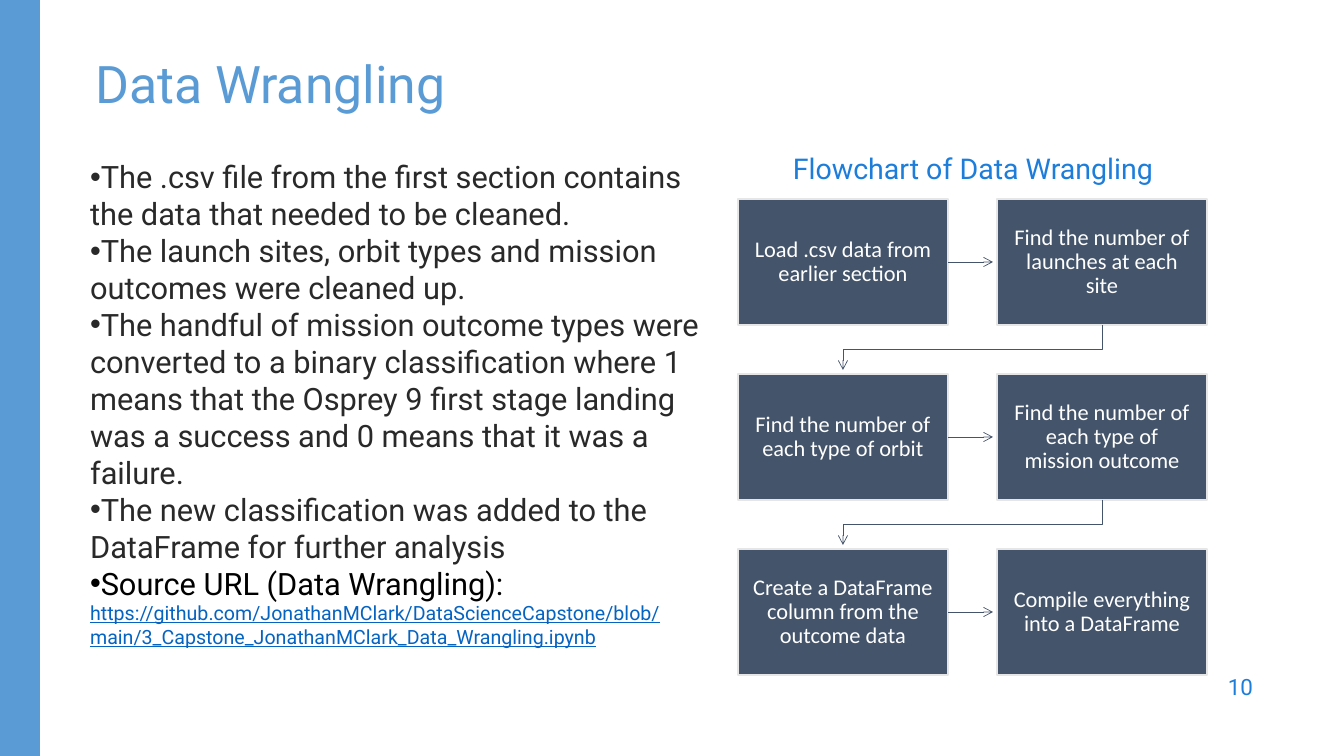
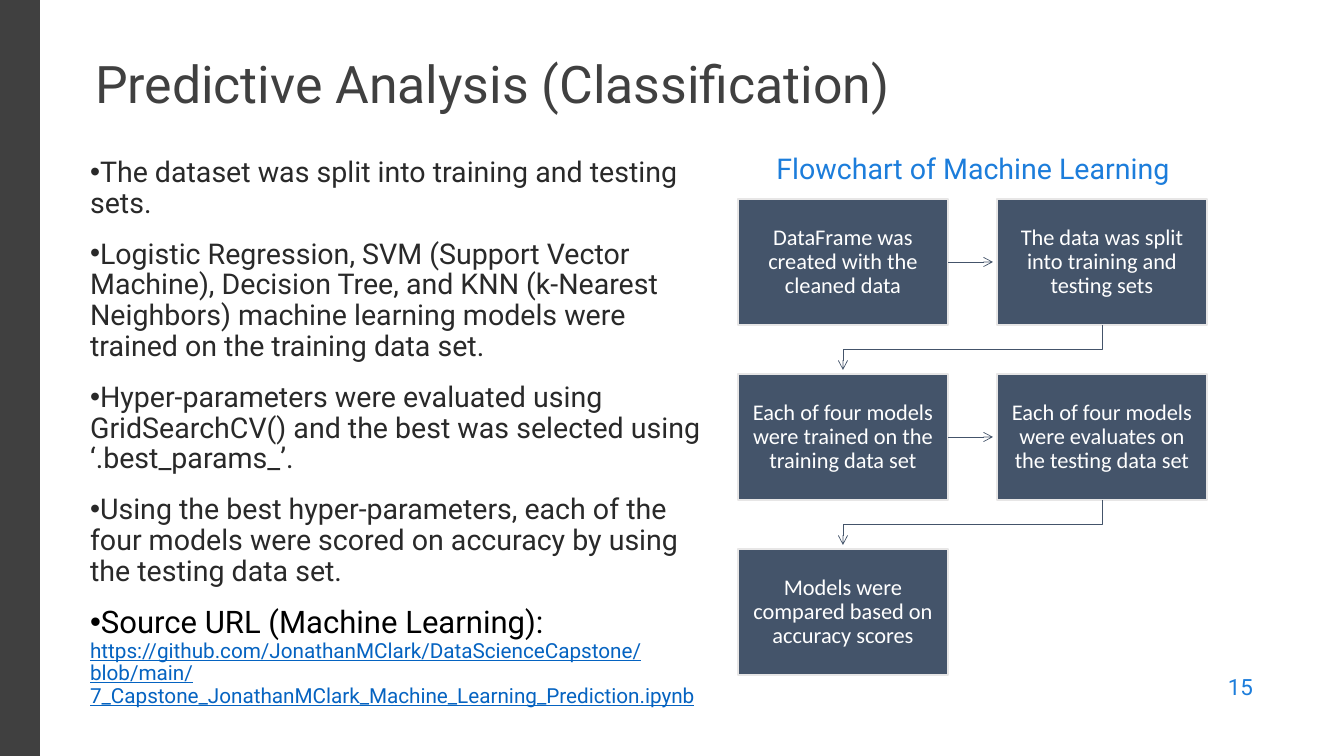
"""Build two data science slides, each with a bullet list and a flowchart."""
from lxml import etree
from pptx import Presentation
from pptx import util as u
from pptx.dml.color import RGBColor
from pptx.enum import shapes, text
from pptx.oxml.ns import qn

PX = 12192000 / 1344
COLORS = {
    "blue": "5B9BD5", "charcoal": "404040", "accent": "1C7DDB", "body": "292929",
    "black": "000000", "link": "0563C1", "card": "44546A", "edge": "E7E6E6", "white": "FFFFFF",
}
CARD_LEFT, CARD_TOP, CARD_WIDTH, CARD_HEIGHT = 738, 199, 210, 126
STEP_X, STEP_Y = 259, 175
ARROW_LENGTH = 45

SLIDES = [
    {
        "title": "Data Wrangling", "color": "blue", "number": "10",
        "bullets": [
            "The .csv file from the first section contains the data that needed to be cleaned.",
            "The launch sites, orbit types and mission outcomes were cleaned up.",
            "The handful of mission outcome types were converted to a binary classification where 1 "
            "means that the Osprey 9 first stage landing was a success and 0 means that it was a failure.",
            "The new classification was added to the DataFrame for further analysis",
        ],
        "label": "Source URL (Data Wrangling):",
        "link": "https://github.com/JonathanMClark/DataScienceCapstone/blob/main/"
                "3_Capstone_JonathanMClark_Data_Wrangling.ipynb",
        "sizes": (22, 22, 14), "spacing": 1.0, "gap": 0,
        "heading": "Flowchart of Data Wrangling",
        "steps": [
            "Load .csv data from earlier section",
            "Find the number of launches at each site",
            "Find the number of each type of orbit",
            "Find the number of each type of mission outcome",
            "Create a DataFrame column from the outcome data",
            "Compile everything into a DataFrame",
        ],
    },
    {
        "title": "Predictive Analysis (Classification)", "color": "charcoal", "number": "15",
        "bullets": [
            "The dataset was split into training and testing sets.",
            "Logistic Regression, SVM (Support Vector Machine), Decision Tree, and KNN (k-Nearest "
            "Neighbors) machine learning models were trained on the training data set.",
            "Hyper-parameters were evaluated using GridSearchCV() and the best was selected using "
            "‘.best_params_’.",
            "Using the best hyper-parameters, each of the four models were scored on accuracy by "
            "using the testing data set.",
        ],
        "label": "Source URL (Machine Learning):",
        "link": "https://github.com/JonathanMClark/DataScienceCapstone/blob/main/"
                "7_Capstone_JonathanMClark_Machine_Learning_Prediction.ipynb",
        "sizes": (20.4, 22.2, 14.8), "spacing": 0.9, "gap": 14,
        "heading": "Flowchart of Machine Learning",
        "steps": [
            "DataFrame was created with the cleaned data",
            "The data was split into training and testing sets",
            "Each of four models were trained on the training data set",
            "Each of four models were evaluates on the testing data set",
            "Models were compared based on accuracy scores",
        ],
    },
]


def px(*lengths):
    """Turn pixel lengths into a list of EMU lengths."""
    return [u.Emu(round(length * PX)) for length in lengths]


def rgb(name):
    """Look up a named colour."""
    return RGBColor.from_string(COLORS[name])


def place(shape, *bounds):
    """Move and size a shape, in pixels."""
    shape.left, shape.top, shape.width, shape.height = px(*bounds)


def style(para, size, color, font="Roboto", align=text.PP_ALIGN.LEFT, spacing=1.0, before=0):
    """Set the layout and font of one paragraph."""
    para.alignment, para.line_spacing, para.space_before = align, spacing, u.Pt(before)
    para.font.name, para.font.size = font, u.Pt(size)
    para.font.color.rgb = rgb(color)


def write(shape, words, anchor=text.MSO_ANCHOR.MIDDLE, **look):
    """Put one styled paragraph into a shape."""
    frame = shape.text_frame
    frame.word_wrap, frame.auto_size = True, text.MSO_AUTO_SIZE.NONE
    frame.vertical_anchor = anchor
    frame.text = words
    style(frame.paragraphs[0], **look)


def add_label(page, bounds, words, **look):
    """Add a text box holding one paragraph."""
    write(page.shapes.add_textbox(*px(*bounds)), words, **look)


def add_rectangle(page, bounds, fill, edge=None):
    """Add a flat rectangle with an optional outline."""
    box = page.shapes.add_shape(shapes.MSO_SHAPE.RECTANGLE, *px(*bounds))
    box.shadow.inherit = False
    box.fill.solid()
    box.fill.fore_color.rgb = rgb(fill)
    if edge:
        box.line.color.rgb, box.line.width = rgb(edge), u.Pt(1)
    else:
        box.line.fill.background()
    return box


def fill_body(body, content):
    """Fill the body placeholder with the bullets and the link."""
    place(body, 80, 153, 635, 555)
    frame = body.text_frame
    frame.word_wrap, frame.auto_size = True, text.MSO_AUTO_SIZE.NONE
    frame.vertical_anchor = text.MSO_ANCHOR.TOP
    bullet_size, label_size, link_size = content["sizes"]
    rows = [(words, bullet_size, "body") for words in content["bullets"]]
    rows += [(content["label"], label_size, "black"), (content["link"], link_size, "link")]
    for index, (words, size, color) in enumerate(rows):
        para = frame.add_paragraph() if index else frame.paragraphs[0]
        para.text = words
        is_link = color == "link"
        props = para._p.get_or_add_pPr()
        props.set("marL", "0")
        props.set("indent", "0")
        if is_link:
            etree.SubElement(props, qn("a:buNone"))
        else:
            etree.SubElement(props, qn("a:buChar")).set("char", "•")
        before = content["gap"] if index and not is_link else 0
        style(para, size, color, spacing=content["spacing"], before=before)
        if is_link:
            para.font.underline = True


def add_card(page, left, top, words):
    """Add one step of the flowchart."""
    card = add_rectangle(page, (left, top, CARD_WIDTH, CARD_HEIGHT), "card", "edge")
    frame = card.text_frame
    frame.margin_left, frame.margin_top, frame.margin_right, frame.margin_bottom = px(12, 12, 12, 12)
    write(card, words, size=16, color="white", font="Calibri",
          align=text.PP_ALIGN.CENTER, spacing=0.9)


def finish_arrow(arrow):
    """Give a line its colour, width and open arrowhead, without shadow."""
    arrow.line.color.rgb, arrow.line.width = rgb("card"), u.Pt(0.5)
    props = arrow._element.spPr
    etree.SubElement(props.find(qn("a:ln")), qn("a:tailEnd")).set("type", "arrow")
    etree.SubElement(props, qn("a:effectLst"))


def add_side_arrow(page, left, top):
    """Point from a card at left, top to the next one in its row."""
    start, middle = left + CARD_WIDTH, top + CARD_HEIGHT // 2
    ends = px(start, middle, start + ARROW_LENGTH, middle)
    finish_arrow(page.shapes.add_connector(shapes.MSO_CONNECTOR.STRAIGHT, *ends))


def add_return_arrow(page, left, top):
    """Lead from a card at left, top to the first one in the next row."""
    start_x, start_y = left + CARD_WIDTH // 2, top + CARD_HEIGHT
    end_x = start_x - STEP_X
    turn_y = start_y + (STEP_Y - CARD_HEIGHT) // 2
    builder = page.shapes.build_freeform(start_x, start_y, scale=PX)
    builder.add_line_segments(
        [(start_x, turn_y), (end_x, turn_y), (end_x, start_y + ARROW_LENGTH)], close=False)
    arrow = builder.convert_to_shape()
    arrow.fill.background()
    finish_arrow(arrow)


def add_flowchart(page, steps):
    """Lay the steps out in two columns and join them in order."""
    for index, words in enumerate(steps):
        row, column = divmod(index, 2)
        left, top = CARD_LEFT + column * STEP_X, CARD_TOP + row * STEP_Y
        add_card(page, left, top, words)
        if index < len(steps) - 1:
            add_arrow = add_return_arrow if column else add_side_arrow
            add_arrow(page, left, top)


def add_page(deck, content):
    """Add one slide."""
    page = deck.slides.add_slide(deck.slide_layouts[1])
    title, body = page.placeholders
    place(title, 85, 59, 1159, 60)
    write(title, content["title"], size=37, color=content["color"], spacing=0.8)
    fill_body(body, content)
    add_label(page, (715, 153, 516, 39), content["heading"], anchor=text.MSO_ANCHOR.TOP,
              size=20.4, color="accent", align=text.PP_ALIGN.CENTER, spacing=0.8)
    add_flowchart(page, content["steps"])
    add_label(page, (961, 664, 302, 45), content["number"],
              size=16, color="accent", align=text.PP_ALIGN.RIGHT)
    add_rectangle(page, (0, 0, 40, 756), content["color"])


def main():
    """Build and save the deck."""
    deck = Presentation()
    deck.slide_width, deck.slide_height = px(1344, 756)
    for content in SLIDES:
        add_page(deck, content)
    deck.save("out.pptx")


if __name__ == "__main__":
    main()
